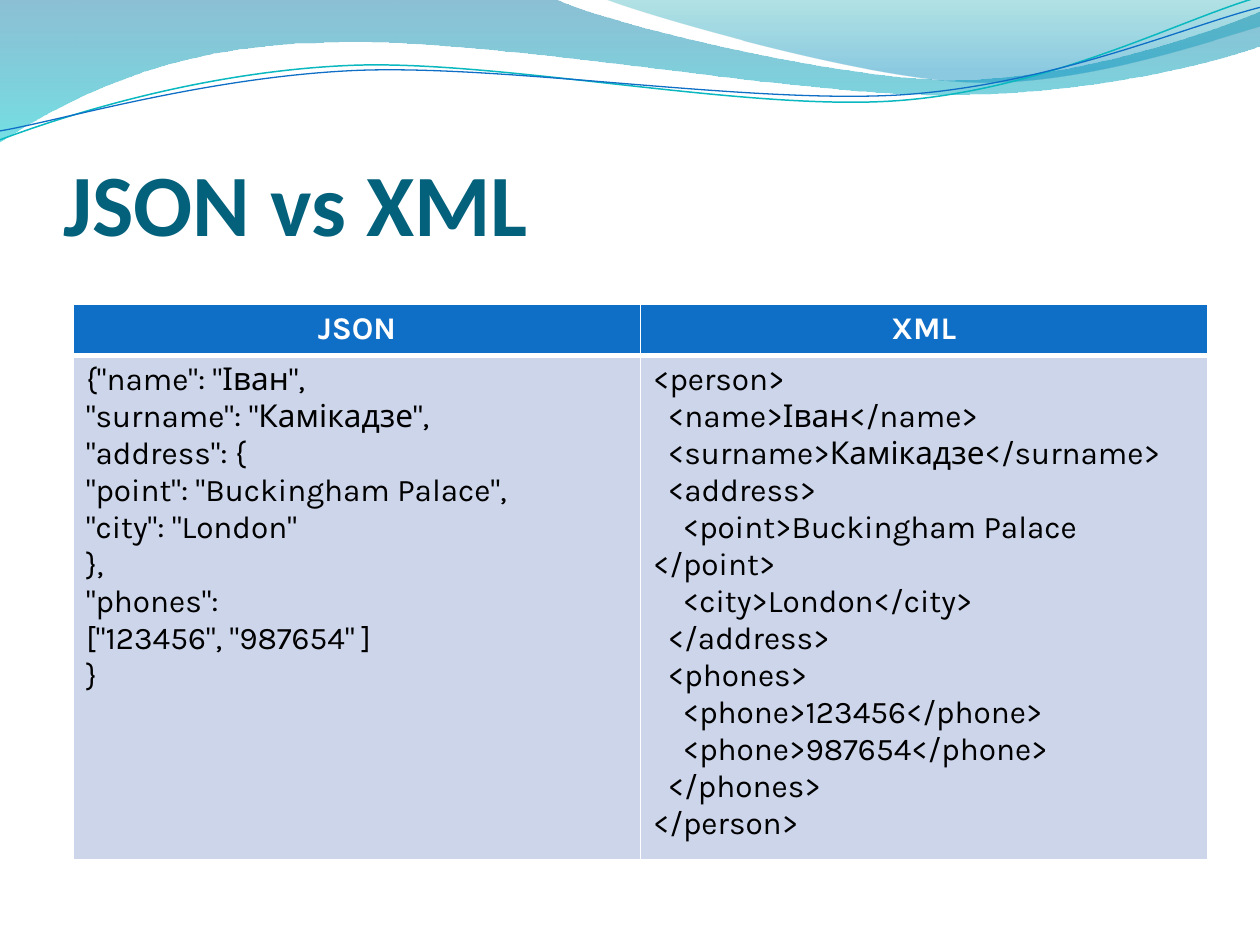
from lxml.etree import SubElement
from pptx import Presentation
from pptx.dml.color import RGBColor
from pptx.enum.text import MSO_ANCHOR, PP_ALIGN
from pptx.oxml.ns import qn
from pptx.util import Cm, Pt

THEME = {
    "title_font": "Calibri", "body_font": "Karla",
    "title_size": 50, "body_size": 18,
    "title": "04617B", "header": "0F6FC6", "header_text": "FFFFFF",
    "body": "CCD5EA", "body_text": "000000", "border": "FFFFFF",
}

TITLE = "JSON vs XML"
HEADERS = ["JSON", "XML"]
JSON_LINES = [
    (0, '{"name": "Іван",'),
    (0, '"surname": "Камікадзе",'),
    (0, '"address": {'),
    (0, '"point": "Buckingham Palace",'),
    (0, '"city": "London"'),
    (0, '},'),
    (0, '"phones":'),
    (0, '["123456", "987654" ]'),
    (0, '}'),
]
XML_LINES = [
    (0, "<person>"),
    (1, "<name>Іван</name>"),
    (1, "<surname>Камікадзе</surname>"),
    (1, "<address>"),
    (2, "<point>Buckingham Palace </point>"),
    (2, "<city>London</city>"),
    (1, "</address>"),
    (1, "<phones>"),
    (2, "<phone>123456</phone>"),
    (2, "<phone>987654</phone>"),
    (1, "</phones>"),
    (0, "</person>"),
]

WAVES = [
    {"start": (0, -0.03),
     "segments": [(11.18, -0.03),
                  (12.09, 0.43, 16.87, 1.6, 19.25, 1.6),
                  (21.67, 1.6, 24.33, 0.66, 25.4, 0.23),
                  (25.43, 0.91),
                  (24.97, 1.12, 22.1, 1.93, 18.95, 1.91),
                  (15.8, 1.91, 9.7, 0.71, 6.53, 0.86),
                  (3.28, 0.89, 1.17, 2.11, -0.03, 2.87)],
     "stops": [(0, "0074A1", 45), (1, "00C6CF", 55)]},
    {"start": (12.17, -0.03),
     "segments": [(12.93, 0.28, 17.32, 1.57, 19.53, 1.65),
                  (21.74, 1.75, 24.41, 0.81, 25.4, 0.53),
                  (25.4, 0)],
     "stops": [(0, "00A1A9", 30), (0.8, "008BBF", 45)]},
    {"start": (0, 2.82),
     "segments": [(1.22, 2.36, 4.01, 1.45, 7.04, 1.32),
                  (10.03, 1.19, 15.06, 2.26, 18.11, 2.03),
                  (21.16, 1.8, 23.83, 0.38, 25.35, -0.05)],
     "line": ("0AB8BF", 0.85)},
    {"start": (0, 2.64),
     "segments": [(1.19, 2.44, 4.17, 1.55, 7.19, 1.42),
                  (10.24, 1.3, 15.16, 2.11, 18.21, 1.91),
                  (21.23, 1.7, 23.9, 0.53, 25.4, 0.15)],
     "line": ("0F6FC6", 0.75)},
]
INDENT = Cm(0.3)


def rgb(value):
    return RGBColor.from_string(value)


def build_curves(s, start, segments, close):
    points = [(Cm(x), Cm(y)) for seg in segments for x, y in zip(seg[::2], seg[1::2])]
    builder = s.shapes.build_freeform(Cm(start[0]), Cm(start[1]))
    builder.add_line_segments(points, close=close)
    sp = builder.convert_to_shape()
    steps = iter(list(sp.element.iter(qn("a:lnTo"))))
    for seg in segments:
        group = [next(steps) for _ in range(len(seg) // 2)]
        if len(group) == 3:
            curve = group[0].makeelement(qn("a:cubicBezTo"), {})
            group[0].addprevious(curve)
            for step in group:
                curve.append(step[0])
                step.getparent().remove(step)
    return sp


def add_wave(s, wave):
    sp = build_curves(s, wave["start"], wave["segments"], "stops" in wave)
    sp.shadow.inherit = False
    if "line" in wave:
        color, width = wave["line"]
        sp.fill.background()
        sp.line.color.rgb = rgb(color)
        sp.line.width = Pt(width)
        return
    sp.line.fill.background()
    sp.fill.gradient()
    sp.fill.gradient_angle = 270
    for stop, (position, color, _) in zip(sp.fill.gradient_stops, wave["stops"]):
        stop.position = position
        stop.color.rgb = rgb(color)
    grad_colors = sp.element.spPr.iter(qn("a:srgbClr"))
    for clr, (_, _, alpha) in zip(grad_colors, wave["stops"]):
        SubElement(clr, qn("a:alpha"), val=str(alpha * 1000))


def set_font(p, name, size, color, bold):
    p.font.name = name
    p.font.size = Pt(size)
    p.font.color.rgb = rgb(color)
    p.font.bold = bold


def set_borders(cell, bottom):
    tcPr = cell._tc.get_or_add_tcPr()
    for i, (side, width) in enumerate([("L", 1), ("R", 1), ("T", 1), ("B", bottom)]):
        ln = tcPr.makeelement(qn(f"a:ln{side}"), {"w": str(Pt(width))})
        fill = SubElement(ln, qn("a:solidFill"))
        SubElement(fill, qn("a:srgbClr"), val=THEME["border"])
        tcPr.insert(i, ln)


def fill_cell(cell, lines, header):
    kind = "header" if header else "body"
    cell.fill.solid()
    cell.fill.fore_color.rgb = rgb(THEME[kind])
    set_borders(cell, 3 if header else 1)
    tf = cell.text_frame
    tf.text = "\n".join(text for _, text in lines)
    for p, (level, _) in zip(tf.paragraphs, lines):
        set_font(p, THEME["body_font"], THEME["body_size"], THEME[f"{kind}_text"], header)
        p.alignment = PP_ALIGN.CENTER if header else PP_ALIGN.LEFT
        if level:
            p._p.get_or_add_pPr().set("indent", str(level * INDENT))


def add_title(s):
    tf = s.shapes.add_textbox(Cm(1.28), Cm(1.95), Cm(23.06), Cm(3.18)).text_frame
    tf.word_wrap = True
    tf.vertical_anchor = MSO_ANCHOR.BOTTOM
    tf.margin_left = tf.margin_right = tf.margin_bottom = 0
    p = tf.paragraphs[0]
    p.text = TITLE
    set_font(p, THEME["title_font"], THEME["title_size"], THEME["title"], True)


def add_comparison(s):
    frame = s.shapes.add_table(2, 2, Cm(1.48), Cm(6.14), Cm(22.86), Cm(10.44))
    table = frame.table
    table.horz_banding = False
    for row in table.rows:
        row.height = Cm(1.03)
    frame.height = Cm(10.44)
    for col, (name, lines) in enumerate(zip(HEADERS, [JSON_LINES, XML_LINES])):
        fill_cell(table.cell(0, col), [(0, name)], True)
        fill_cell(table.cell(1, col), lines, False)


def main():
    prs = Presentation()
    prs.slide_width, prs.slide_height = Cm(25.4), Cm(19.05)
    s = prs.slides.add_slide(prs.slide_layouts[6])
    for wave in WAVES:
        add_wave(s, wave)
    add_title(s)
    add_comparison(s)
    prs.save("out.pptx")


if __name__ == "__main__":
    main()
